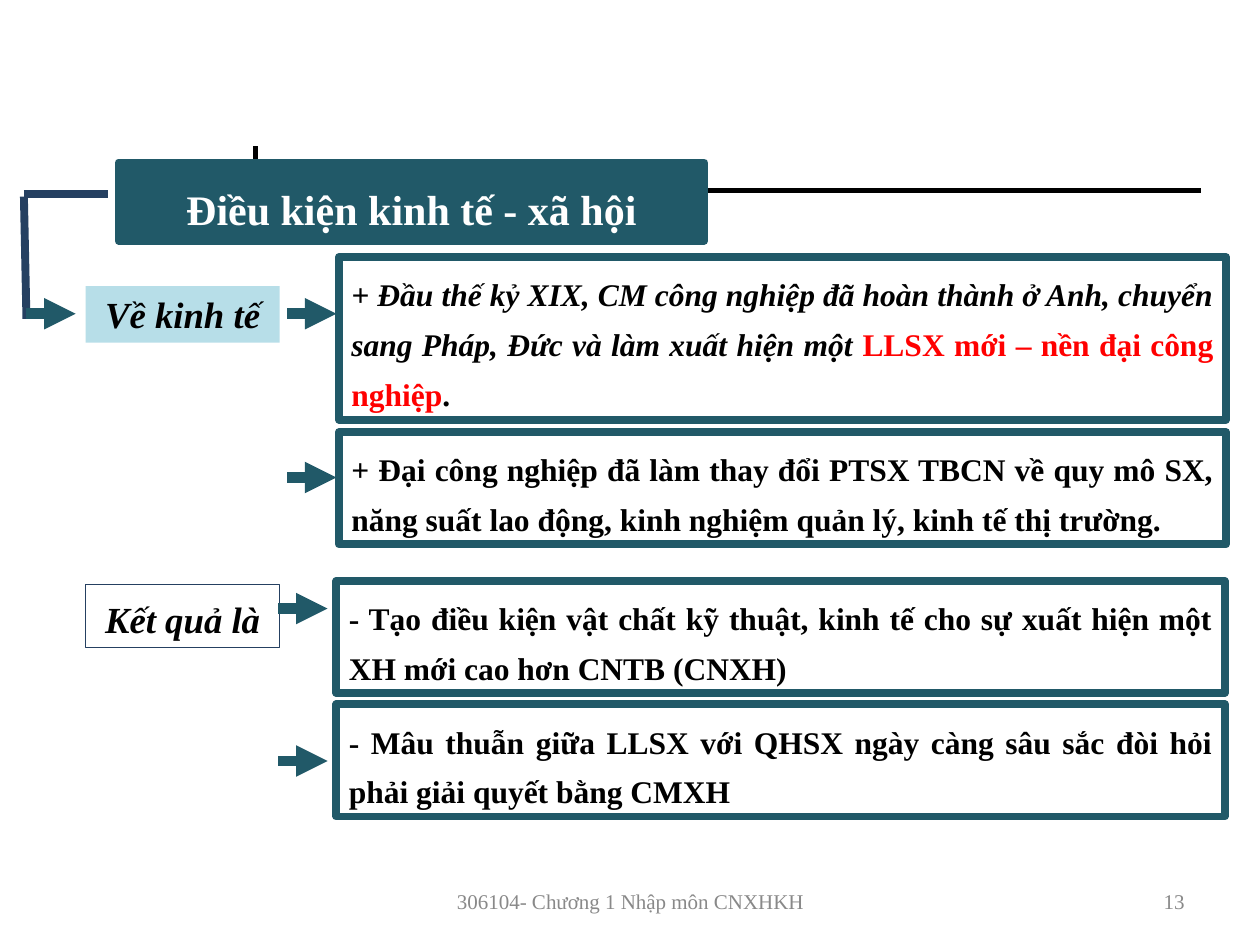
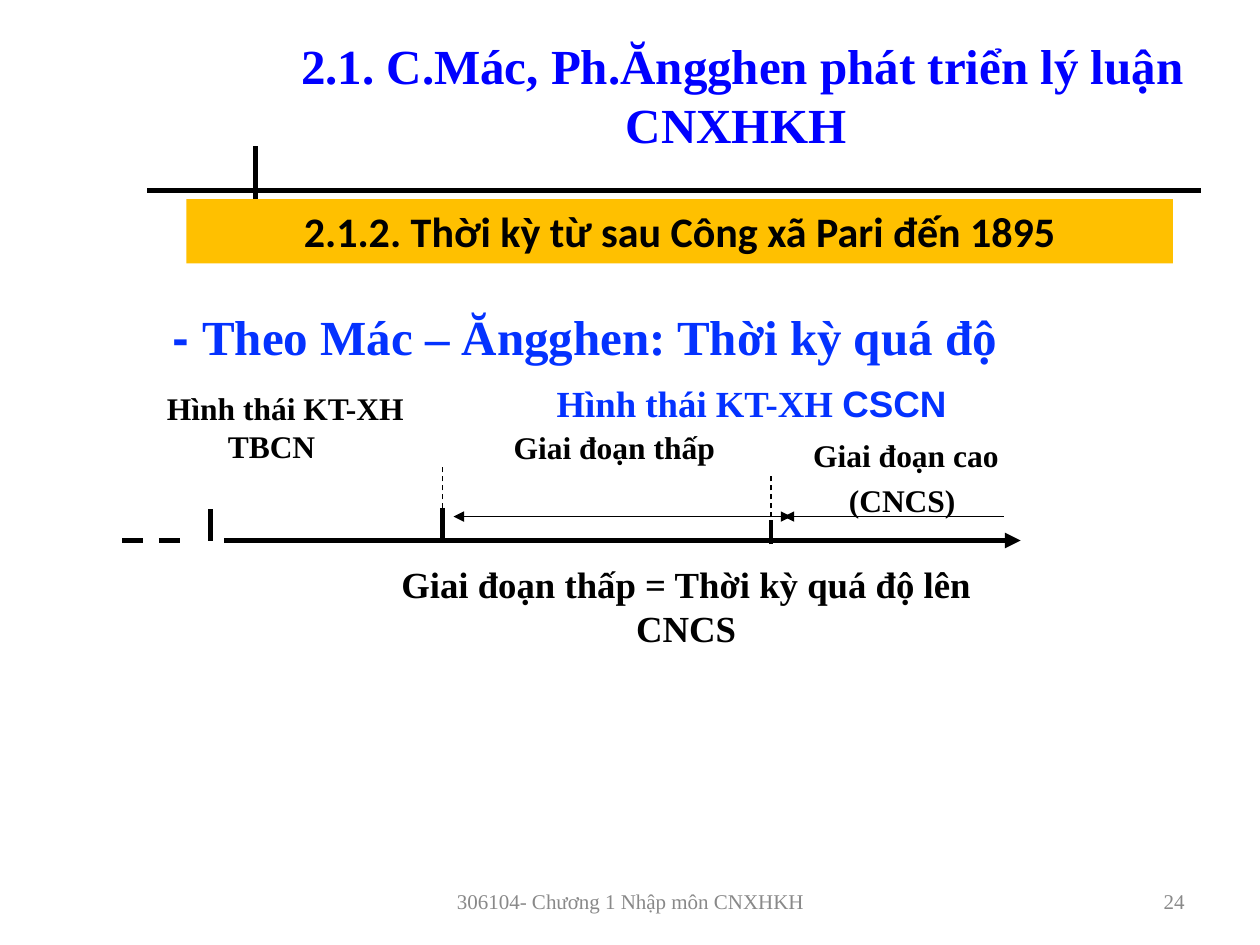
import pptx
import pptx.util
import pptx.dml.color
import pptx.enum.dml
import pptx.enum.shapes
import pptx.enum.text
import pptx.oxml.ns
import lxml.etree

Inches = pptx.util.Inches
Pt = pptx.util.Pt

# Shared look
SERIF = "Times New Roman"
BLACK, WHITE, RED = "000000", "FFFFFF", "FF0000"
TEAL, PALE_TEAL, NAVY = "215968", "B7DEE8", "254061"
BLUE, TITLE_BLUE, AMBER, GREY = "0432FF", "0000FF", "FFC000", "898989"
ALIGN = {"l": pptx.enum.text.PP_ALIGN.LEFT, "c": pptx.enum.text.PP_ALIGN.CENTER,
         "r": pptx.enum.text.PP_ALIGN.RIGHT, "j": pptx.enum.text.PP_ALIGN.JUSTIFY}
ANCHOR = {"t": pptx.enum.text.MSO_ANCHOR.TOP, "m": pptx.enum.text.MSO_ANCHOR.MIDDLE,
          "b": pptx.enum.text.MSO_ANCHOR.BOTTOM}


def color(value):
    return pptx.dml.color.RGBColor.from_string(value)


def write(shape, *paragraphs, size=18, font=SERIF, ink=BLACK, bold=True, italic=False,
          align="c", anchor="t", before=0, after=0, spacing=None, indent=0):
    """Each paragraph is a string or a list of (text, overrides) runs."""
    frame = shape.text_frame
    frame.word_wrap = True
    frame.vertical_anchor = ANCHOR[anchor]
    for index, runs in enumerate(paragraphs):
        paragraph = frame.add_paragraph() if index else frame.paragraphs[0]
        paragraph.alignment = ALIGN[align]
        paragraph.space_before, paragraph.space_after = Pt(before), Pt(after)
        if spacing:
            paragraph.line_spacing = spacing
        if indent and index == 0:
            paragraph._p.get_or_add_pPr().set("indent", str(Inches(indent)))
        for text, changes in [(runs, {})] if isinstance(runs, str) else runs:
            run = paragraph.add_run()
            run.text = text
            run.font.size = Pt(size)
            run.font.name = changes.get("font", font)
            run.font.bold = bold
            run.font.italic = changes.get("italic", italic)
            run.font.color.rgb = color(changes.get("ink", ink))


def text_box(slide, left, top, width, height, *paragraphs, **style):
    box = slide.shapes.add_textbox(Inches(left), Inches(top), Inches(width), Inches(height))
    write(box, *paragraphs, **style)


def panel(slide, left, top, width, height, *paragraphs, fill=None, edge=None, weight=4.5, **style):
    box = slide.shapes.add_shape(pptx.enum.shapes.MSO_SHAPE.RECTANGLE, Inches(left),
                                 Inches(top), Inches(width), Inches(height))
    box.shadow.inherit = False
    if fill:
        box.fill.solid()
        box.fill.fore_color.rgb = color(fill)
    else:
        box.fill.background()
    if edge:
        box.line.color.rgb = color(edge)
        box.line.width = Pt(weight)
    else:
        box.line.fill.background()
    write(box, *paragraphs, **style)


def line(slide, x1, y1, x2, y2, ink=BLACK, weight=3.0, dashed=False, ends=()):
    rule = slide.shapes.add_connector(pptx.enum.shapes.MSO_CONNECTOR.STRAIGHT,
                                      Inches(x1), Inches(y1), Inches(x2), Inches(y2))
    rule.line.color.rgb = color(ink)
    rule.line.width = Pt(weight)
    if dashed:
        rule.line.dash_style = pptx.enum.dml.MSO_LINE.DASH
    qn = pptx.oxml.ns.qn
    for end in ends:  # headEnd comes before tailEnd
        lxml.etree.SubElement(rule.line._ln, qn("a:" + end), type="triangle")
    lxml.etree.SubElement(rule._element.spPr, qn("a:effectLst"))


def new_slide(deck):
    slide = deck.slides.add_slide(deck.slide_layouts[6])
    # Crossed rules below the title
    line(slide, 1.17, 1.51, 9.53, 1.51)
    line(slide, 2.03, 1.16, 2.03, 1.69)
    return slide


def footer(slide, number, top=6.95):
    style = dict(size=12, ink=GREY, bold=False, anchor="m")
    text_box(slide, 3.42, top, 3.17, 0.4, "306104- Chương 1 Nhập môn CNXHKH", **style)
    text_box(slide, 7.17, top, 2.33, 0.4, number, align="r", **style)


def block_arrow(slide, left, y):
    line(slide, left, y, left + 0.39, y, ink=TEAL, weight=6, ends=["tailEnd"])


def statements(slide, left, top, width, arrow_left, rows):
    """Framed statements; a row is (offset, height, arrow offset, runs)."""
    for offset, height, arrow_offset, runs in rows:
        panel(slide, left, top + offset, width, height, runs, edge=TEAL,
              align="j", before=4.5, spacing=Pt(28.5))
        block_arrow(slide, arrow_left, top + arrow_offset)


def bracket(slide, left, top):
    """Bent line leading from the heading to the first label."""
    line(slide, left, top + 0.02, left + 0.02, top + 0.99, ink=NAVY, weight=4.5)
    block_arrow(slide, left + 0.02, top + 0.95)
    line(slide, left, top, left + 0.67, top, ink=NAVY, weight=4.5)


def conditions_slide(deck):
    slide = new_slide(deck)
    panel(slide, 0.94, 1.29, 4.65, 0.62, "Điều kiện kinh tế - xã hội", fill=TEAL, edge=TEAL,
          size=24, ink=WHITE, before=4.5, after=4.5, spacing=1.3)

    # Economy
    panel(slide, 0.68, 2.27, 1.54, 0.45, "Về kinh tế", fill=PALE_TEAL, size=21, italic=True)
    upright = {"italic": False}
    statements(slide, 2.69, 2.04, 7.04, 2.28, [
        (0, 1.29, 0.45, [
            ("+ Đầu thế kỷ XIX, CM công nghiệp đã hoàn thành ở Anh, chuyển sang Pháp, "
             "Đức và làm xuất hiện một ", {"italic": True}),
            ("LLSX mới – nền đại công nghiệp", {"ink": RED, **upright}),
            (".", upright)]),
        (1.39, 0.89, 1.75,
         "+ Đại công nghiệp đã làm thay đổi PTSX TBCN về quy mô SX, năng suất lao động, "
         "kinh nghiệm quản lý, kinh tế thị trường."),
    ])

    # Result
    panel(slide, 0.68, 4.64, 1.54, 0.5, "Kết quả là", edge=NAVY, weight=0.75, size=21,
          italic=True, before=4.5, spacing=Pt(28.5))
    statements(slide, 2.67, 4.61, 7.05, 2.21, [
        (0, 0.89, 0.22, "- Tạo điều kiện vật chất kỹ thuật, kinh tế cho sự xuất hiện "
                        "một XH mới cao hơn CNTB (CNXH)"),
        (0.98, 0.89, 1.43, "- Mâu thuẫn giữa LLSX với QHSX ngày càng sâu sắc đòi hỏi "
                           "phải giải quyết bằng CMXH"),
    ])
    bracket(slide, 0.19, 1.54)
    footer(slide, "13")


def timeline(slide, left, top):
    """Formation labels above an axis with its stages."""
    axis = top + 1.32
    stage_low, stage_high = left + 2.7, left + 5.31

    # Axis and its marks
    line(slide, left + 0.97, axis, left + 7.29, axis, ends=["tailEnd"])
    line(slide, left + 0.16, axis, left + 0.72, axis, dashed=True)
    line(slide, left + 0.86, axis - 0.25, left + 0.86, axis)
    line(slide, stage_low, axis - 0.26, stage_low, axis - 0.01)
    line(slide, stage_high, axis + 0.03, stage_high, axis - 0.16, weight=2.25)

    # Stage limits and spans
    for x, rise in [(stage_low, 0.6), (stage_high, 0.54)]:
        line(slide, x, axis - 0.04, x, axis - rise, weight=0.75, dashed=True)
    span = axis - 0.19
    line(slide, left + 2.79, span, left + 5.47, span, weight=0.75, ends=["headEnd", "tailEnd"])
    line(slide, left + 5.41, span, left + 7.16, span, weight=0.75, ends=["headEnd"])

    # Labels
    text_box(slide, left, top + 0.07, 2.69, 0.75, "Hình thái KT-XH TBCN", before=11.2, indent=0.22)
    text_box(slide, left + 3.47, top, 3.37, 0.45,
             [("Hình thái KT-XH ", {}), ("CSCN", {"font": "Arial"})],
             size=21, ink=BLUE, before=13.1)
    text_box(slide, left + 2.72, top + 0.38, 2.69, 0.4, "Giai đoạn thấp", before=11.2)
    text_box(slide, left + 5.16, top + 0.44, 2.38, 0.77, "Giai đoạn cao", "(CNCS)",
             before=4.5, indent=0.06)
    text_box(slide, left + 2.04, top + 1.44, 5.19, 0.8,
             "Giai đoạn thấp = Thời kỳ quá độ lên CNCS", size=21, before=13.1)


def transition_slide(deck):
    slide = new_slide(deck)
    timeline(slide, 0.81, 2.97)
    text_box(slide, 1.27, 2.51, 7.75, 0.44,
             [("- ", {"font": "Arial"}), ("Theo Mác – Ăngghen: Thời kỳ quá độ", {})],
             size=28, ink=BLUE, align="l", anchor="b")
    panel(slide, 1.48, 1.58, 7.83, 0.51, "2.1.2. Thời kỳ từ sau Công xã Pari đến 1895",
          fill=AMBER, size=24, font="Calibri", before=6)
    text_box(slide, 2.25, 0.07, 7.28, 1.36, "2.1. C.Mác, Ph.Ăngghen phát triển lý luận CNXHKH ",
             size=28, ink=TITLE_BLUE, anchor="m")
    footer(slide, "24")


def main():
    deck = pptx.Presentation()
    deck.slide_width, deck.slide_height = Inches(10), Inches(7.5)
    conditions_slide(deck)
    transition_slide(deck)
    deck.save("out.pptx")


if __name__ == "__main__":
    main()
